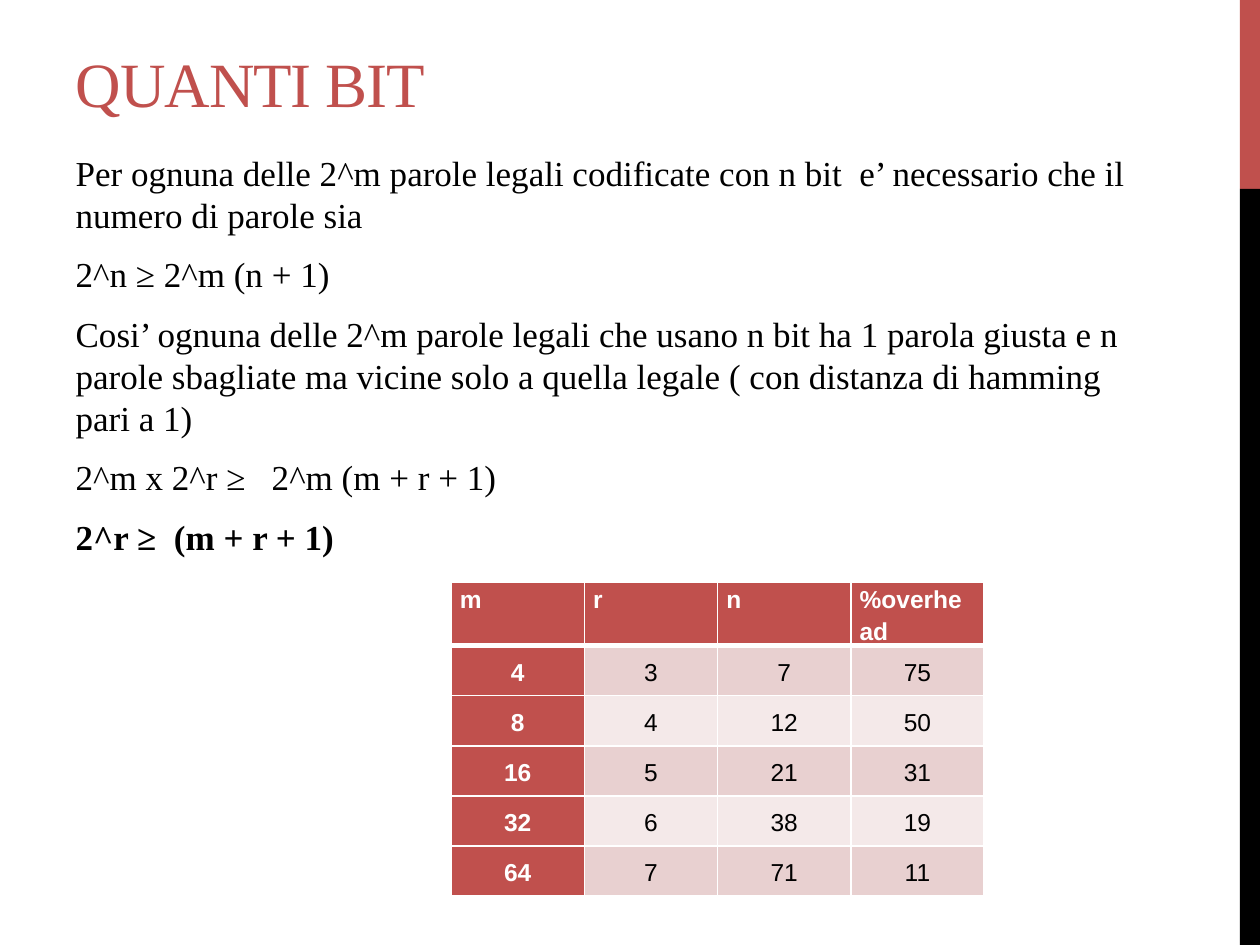
import lxml.etree
import pptx
import pptx.dml.color
import pptx.enum.shapes
import pptx.enum.text
import pptx.oxml.ns
import pptx.util
from pptx.util import Inches

RED = pptx.dml.color.RGBColor(0xC0, 0x50, 0x4D)
BLACK = pptx.dml.color.RGBColor(0, 0, 0)
WHITE = pptx.dml.color.RGBColor(0xFF, 0xFF, 0xFF)
DARK_BAND = pptx.dml.color.RGBColor(0xE8, 0xD0, 0xD0)
LIGHT_BAND = pptx.dml.color.RGBColor(0xF4, 0xE9, 0xE9)

FORMULA = "2^r ≥  (m + r + 1)"
PARAGRAPHS = [
    "Per ognuna delle 2^m parole legali codificate con n bit  e’ necessario che il numero di parole sia",
    "2^n ≥ 2^m (n + 1)",
    "Cosi’ ognuna delle 2^m parole legali che usano n bit ha 1 parola giusta e n parole sbagliate "
    "ma vicine solo a quella legale ( con distanza di hamming pari a 1)",
    "2^m x 2^r ≥   2^m (m + r + 1)",
    FORMULA,
]
OVERHEAD = [
    ["m", "r", "n", "%overhead"],
    ["4", "3", "7", "75"],
    ["8", "4", "12", "50"],
    ["16", "5", "21", "31"],
    ["32", "6", "38", "19"],
    ["64", "7", "71", "11"],
]


class SlideBuilder:
    """Holds the text style and the current slide, and adds its elements."""

    text_font = "Times New Roman"
    table_font = "Arial"

    def __init__(self, slide):
        self.slide = slide

    def set_font(self, paragraph, name, size, color, bold=False):
        font = paragraph.font
        font.name, font.size, font.bold = name, pptx.util.Pt(size), bold
        font.color.rgb = color

    def place(self, shape, left, top, width, height):
        shape.left, shape.top = Inches(left), Inches(top)
        shape.width, shape.height = Inches(width), Inches(height)

    def bar(self, top, height, color):
        shape = self.slide.shapes.add_shape(
            pptx.enum.shapes.MSO_SHAPE.RECTANGLE,
            Inches(9.84), Inches(top), Inches(0.16), Inches(height))
        shape.shadow.inherit = False
        shape.fill.solid()
        shape.fill.fore_color.rgb = color
        shape.line.fill.background()

    def title(self, text):
        shape = self.slide.shapes.title
        self.place(shape, 0.5, 0.17, 6.33, 0.83)
        frame = shape.text_frame
        frame.text = text
        frame.auto_size = pptx.enum.text.MSO_AUTO_SIZE.NONE
        frame.vertical_anchor = pptx.enum.text.MSO_ANCHOR.BOTTOM
        paragraph = frame.paragraphs[0]
        paragraph.alignment = pptx.enum.text.PP_ALIGN.LEFT
        self.set_font(paragraph, self.text_font, 36, RED)
        paragraph.runs[0]._r.get_or_add_rPr().set("spc", "-60")

    def body(self, texts):
        shape = self.slide.placeholders[1]
        self.place(shape, 0.5, 1.15, 8.83, 6.14)
        frame = shape.text_frame
        frame.text = "\n".join(texts)
        frame.auto_size = pptx.enum.text.MSO_AUTO_SIZE.NONE
        for paragraph in frame.paragraphs:
            paragraph.line_spacing = pptx.util.Pt(24)
            paragraph.space_before = pptx.util.Pt(4)
            paragraph.space_after = pptx.util.Pt(6)
            self.set_font(paragraph, self.text_font, 20, BLACK, paragraph.text == FORMULA)
            properties = paragraph._p.get_or_add_pPr()
            properties.set("marL", "0")
            properties.set("indent", "0")
            bullet = lxml.etree.Element(pptx.oxml.ns.qn("a:buNone"))
            properties.find(pptx.oxml.ns.qn("a:defRPr")).addprevious(bullet)

    def border(self, cell, side, points):
        properties = cell._tc.get_or_add_tcPr()
        line = lxml.etree.SubElement(
            properties, pptx.oxml.ns.qn(f"a:ln{side}"), w=str(pptx.util.Pt(points)))
        fill = lxml.etree.SubElement(line, pptx.oxml.ns.qn("a:solidFill"))
        lxml.etree.SubElement(fill, pptx.oxml.ns.qn("a:srgbClr"), val=str(WHITE))

    def cell(self, cell, text, row, column):
        is_header = row == 0
        is_strong = is_header or column == 0
        widths = {"L": 1, "R": 1, "T": 3 if row == 1 else 1, "B": 3 if is_header else 1}
        for side, points in widths.items():
            self.border(cell, side, points)
        cell.fill.solid()
        cell.fill.fore_color.rgb = RED if is_strong else DARK_BAND if row % 2 else LIGHT_BAND
        cell.margin_left = cell.margin_right = Inches(0.07)
        cell.margin_top = cell.margin_bottom = 0
        anchor = pptx.enum.text.MSO_ANCHOR
        cell.vertical_anchor = anchor.TOP if is_header else anchor.MIDDLE
        cell.text = text
        paragraph = cell.text_frame.paragraphs[0]
        align = pptx.enum.text.PP_ALIGN
        paragraph.alignment = align.JUSTIFY if is_header else align.CENTER
        paragraph.line_spacing = 1.15
        paragraph.space_before = pptx.util.Pt(10)
        self.set_font(paragraph, self.table_font, 14, WHITE if is_strong else BLACK, is_strong)

    def table(self, rows):
        table = self.slide.shapes.add_table(
            len(rows), len(rows[0]), Inches(3.58), Inches(4.62), Inches(4.23), Inches(2.39)).table
        for row, texts in enumerate(rows):
            for column, text in enumerate(texts):
                self.cell(table.cell(row, column), text, row, column)


def main():
    presentation = pptx.Presentation()
    presentation.slide_width, presentation.slide_height = Inches(10), Inches(7.5)
    slide = presentation.slides.add_slide(presentation.slide_layouts[1])
    builder = SlideBuilder(slide)
    builder.bar(0, 1.5, RED)
    builder.bar(1.5, 6, BLACK)
    builder.title("QUANTI BIT")
    builder.body(PARAGRAPHS)
    builder.table(OVERHEAD)
    presentation.save("out.pptx")


if __name__ == "__main__":
    main()
